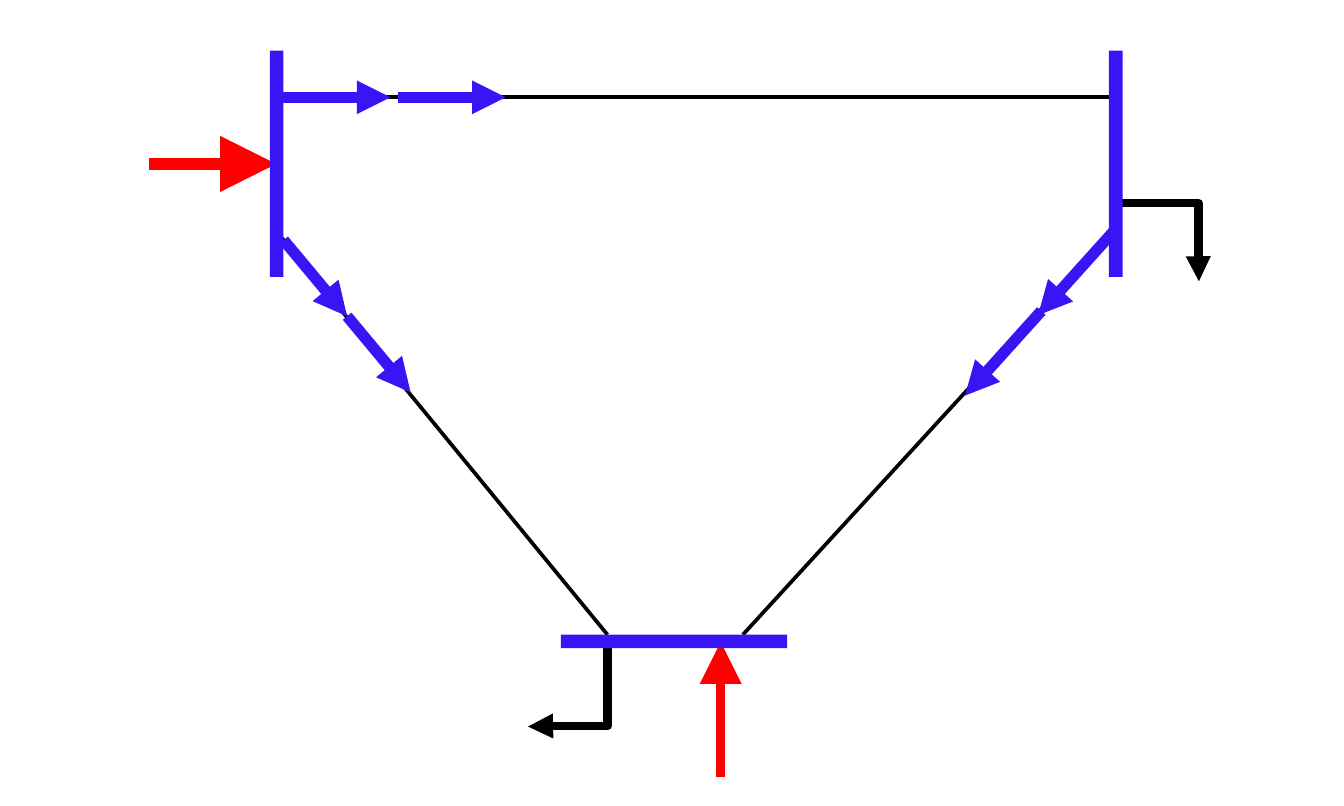
from pptx import Presentation
from pptx.util import Cm, Pt
from pptx.dml.color import RGBColor
from pptx.enum.shapes import MSO_CONNECTOR as MC, MSO_SHAPE
from pptx.oxml.ns import qn
from lxml.etree import SubElement

COLORS = {"bus": "3914F4", "generator": "FF0000", "line": "000000"}

prs = Presentation()
prs.slide_width, prs.slide_height = Cm(12.7), Cm(7.62)
s = prs.slides.add_slide(prs.slide_layouts[6])


def add_line(x1, y1, x2, y2, color, width, head=None, kind=MC.STRAIGHT):
    c = s.shapes.add_connector(kind, Cm(x1), Cm(y1), Cm(x2), Cm(y2))
    c.line.color.rgb = RGBColor.from_string(COLORS[color])
    c.line.width = Pt(width)
    if head:
        SubElement(c.line._get_or_add_ln(), qn("a:tailEnd"),
                   type="triangle", w=head, len=head)
    SubElement(c._element.spPr, qn("a:effectLst"))
    return c


def add_load(x, y, size, turn=0):
    c = add_line(x, y, x + size, y + size, "line", 2.25, "med", MC.ELBOW)
    spPr = c._element.spPr
    SubElement(spPr.find(qn("a:prstGeom")).find(qn("a:avLst")), qn("a:gd"),
               name="adj1", fmla="val 99400")
    if turn:
        spPr.find(qn("a:xfrm")).set("rot", str(turn * 60000))


# Generators
add_line(1.41, 1.55, 2.61, 1.55, "generator", 3, "lg")
add_line(6.81, 7.35, 6.81, 6.07, "generator", 2.25, "lg")

# Loads
add_load(10.59, 1.92, 0.74)
add_load(4.99, 6.12, 0.75, turn=90)

# Transmission lines
for ends in [(2.62, 0.92, 10.54, 0.92),
             (2.59, 2.16, 5.74, 6),
             (10.54, 2.16, 7.02, 6)]:
    add_line(*ends, "line", 1)

# Bus bars
LONG, THIN = 2.14, 0.13
for x, y, w, h in [(2.55, 0.48, THIN, LONG),
                   (10.48, 0.48, THIN, LONG),
                   (5.3, 6, LONG, THIN)]:
    sp = s.shapes.add_shape(MSO_SHAPE.RECTANGLE, Cm(x), Cm(y), Cm(w), Cm(h))
    sp.shadow.inherit = False
    sp.fill.solid()
    sp.fill.fore_color.rgb = RGBColor.from_string(COLORS["bus"])
    sp.line.fill.background()

# Power flow: start, arrow vector and step to the second arrow
for x, y, dx, dy, step_x, step_y in [(2.67, 0.92, 1.02, 0, 1.09, 0),
                                     (2.68, 2.27, 0.6, 0.72, 0.6, 0.72),
                                     (10.53, 2.18, -0.72, 0.8, -0.69, 0.76)]:
    for i in range(2):
        ax, ay = x + i * step_x, y + i * step_y
        add_line(ax, ay, ax + dx, ay + dy, "bus", 3, "med")

prs.save("out.pptx")
